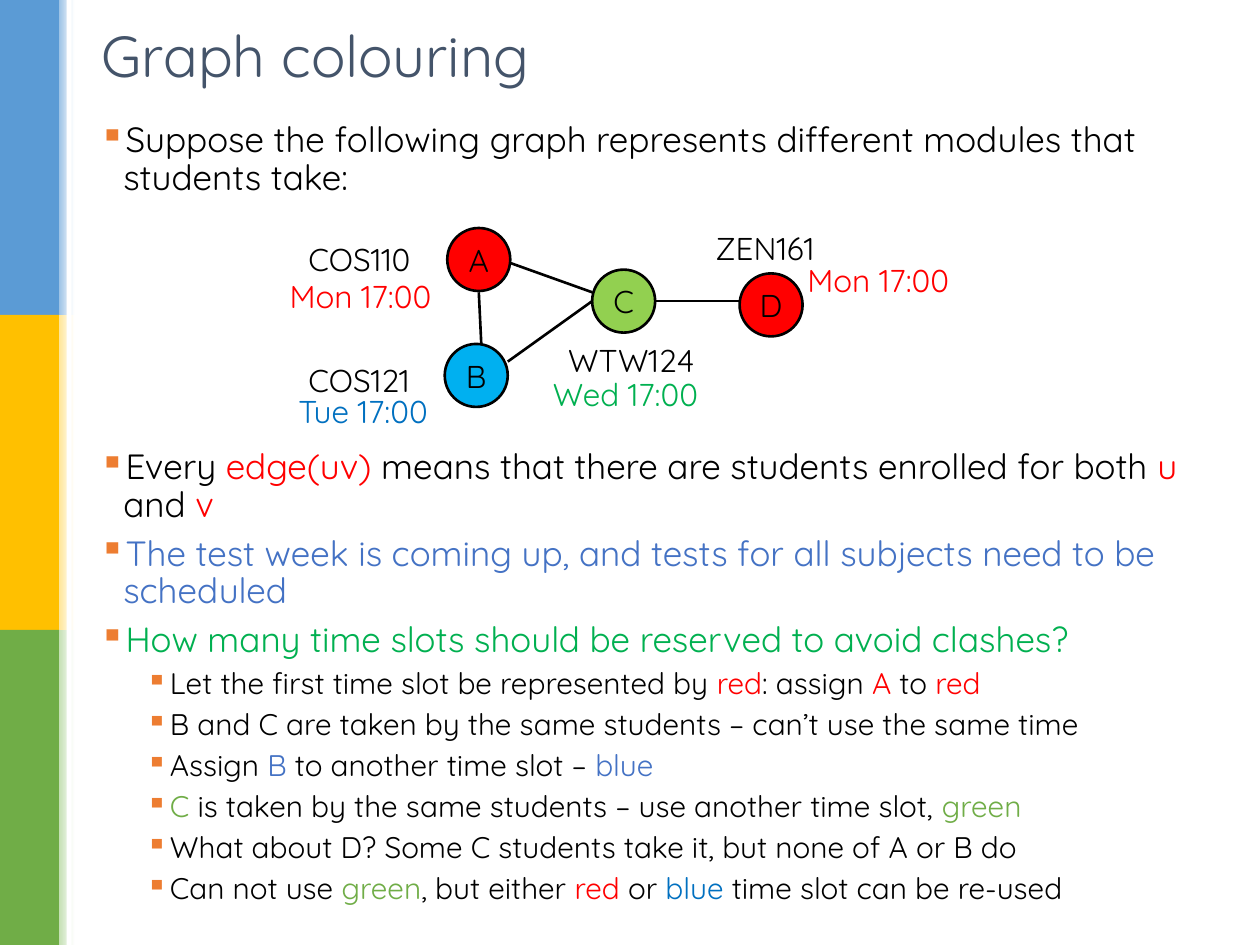
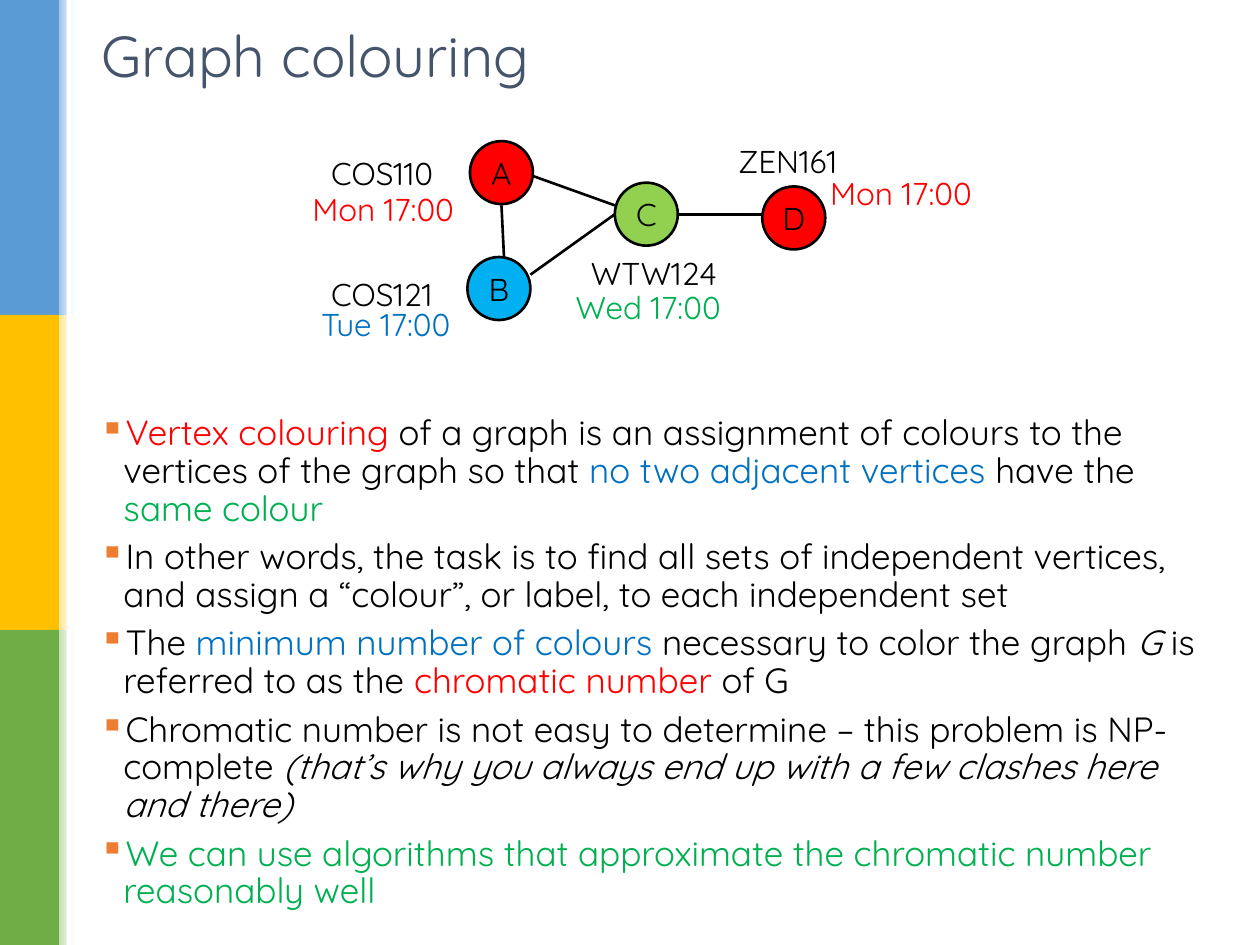
import dataclasses

import lxml.etree
import pptx
import pptx.dml.color
import pptx.enum.shapes
import pptx.enum.text
import pptx.oxml.ns
import pptx.util

Inches = pptx.util.Inches
Pt = pptx.util.Pt
Shape = pptx.enum.shapes.MSO_SHAPE
Anchor = pptx.enum.text.MSO_ANCHOR
Align = pptx.enum.text.PP_ALIGN
qn = pptx.oxml.ns.qn


@dataclasses.dataclass(frozen=True)
class Theme:
    font: str = "Quicksand"
    title_size: int = 33
    label_size: int = 18
    body_sizes: tuple = (20, 17)
    indents: tuple = (0.19, 0.56)
    hanging: float = 0.19
    line_spacing: float = 0.9
    space_before: float = 0.3
    outline: float = 1.5
    heading: str = "44546A"
    bullet: str = "ED7D31"
    black: str = "000000"
    white: str = "FFFFFF"
    red: str = "FF0000"
    blue: str = "0070C0"
    soft_blue: str = "4472C4"
    sky: str = "00B0F0"
    green: str = "00B050"
    leaf: str = "70AD47"
    lime: str = "92D050"
    bands: tuple = (("5B9BD5", "9DC3E6"), ("FFC000", "FFE699"), ("70AD47", "C5E0B4"))


THEME = Theme()


def rgb(colour):
    return pptx.dml.color.RGBColor.from_string(colour)


class Deck:
    def __init__(self, theme):
        self.theme = theme
        self.presentation = pptx.Presentation()
        self.presentation.slide_width = Inches(10)
        self.presentation.slide_height = Inches(7.5)
        self.slide = None

    def new_slide(self, title):
        self.slide = self.presentation.slides.add_slide(self.presentation.slide_layouts[6])
        self.side_bands()
        self.title(title)

    def side_bands(self):
        height = 7.5 / len(self.theme.bands)
        for row, (strong, pale) in enumerate(self.theme.bands):
            self.shape(Shape.RECTANGLE, 0, row * height, 0.47, height, strong)
            fade = self.shape(Shape.RECTANGLE, 0.47, row * height, 0.12, height, pale)
            fade.fill.gradient()
            fade.fill.gradient_angle = 0
            for stop, colour in zip(fade.fill.gradient_stops, (pale, self.theme.white)):
                stop.color.rgb = rgb(colour)
        self.shape(Shape.RECTANGLE, 0.53, 0, 0.04, 7.5, self.theme.white)

    def shape(self, kind, left, top, width, height, fill):
        shape = self.slide.shapes.add_shape(
            kind, Inches(left), Inches(top), Inches(width), Inches(height))
        shape.shadow.inherit = False
        shape.fill.solid()
        shape.fill.fore_color.rgb = rgb(fill)
        shape.line.fill.background()
        return shape

    def run(self, paragraph, text, size, colour, italic=False):
        run = paragraph.add_run()
        run.text = text
        run.font.name = self.theme.font
        run.font.size = Pt(size)
        run.font.color.rgb = rgb(colour)
        if italic:
            run.font.italic = True

    def text_frame(self, left, top, width, height, wrap=True):
        box = self.slide.shapes.add_textbox(
            Inches(left), Inches(top), Inches(width), Inches(height))
        box.text_frame.word_wrap = wrap
        return box.text_frame

    def title(self, text):
        frame = self.text_frame(0.71, 0.09, 8.62, 0.68)
        frame.vertical_anchor = Anchor.MIDDLE
        self.run(frame.paragraphs[0], text, self.theme.title_size, self.theme.heading)

    def label(self, text, left, top, width, colour):
        frame = self.text_frame(left, top, width, 0.4, wrap=False)
        frame.auto_size = pptx.enum.text.MSO_AUTO_SIZE.SHAPE_TO_FIT_TEXT
        self.run(frame.paragraphs[0], text, self.theme.label_size, colour)

    def vertex(self, name, left, top, fill):
        circle = self.shape(Shape.OVAL, left, top, 0.5, 0.5, fill)
        circle.line.color.rgb = rgb(self.theme.black)
        circle.line.width = Pt(self.theme.outline)
        frame = circle.text_frame
        frame.word_wrap = False
        frame.vertical_anchor = Anchor.MIDDLE
        frame.paragraphs[0].alignment = Align.CENTER
        self.run(frame.paragraphs[0], name, self.theme.label_size, self.theme.black)

    def edge(self, x1, y1, x2, y2):
        line = self.slide.shapes.add_connector(
            pptx.enum.shapes.MSO_CONNECTOR.STRAIGHT,
            Inches(x1), Inches(y1), Inches(x2), Inches(y2))
        line.line.color.rgb = rgb(self.theme.black)
        line.line.width = Pt(self.theme.outline)
        lxml.etree.SubElement(line._element.spPr, qn("a:effectLst"))

    def bullets(self, top, height, items):
        frame = self.text_frame(0.69, top, 8.95, height)
        for index, (level, pieces) in enumerate(items):
            paragraph = frame.add_paragraph() if index else frame.paragraphs[0]
            size = self.theme.body_sizes[level]
            paragraph.level = level
            paragraph.line_spacing = self.theme.line_spacing
            paragraph.space_before = Pt(size * self.theme.space_before if index else 0)
            properties = paragraph._p.get_or_add_pPr()
            properties.set("marL", str(Inches(self.theme.indents[level])))
            properties.set("indent", str(-Inches(self.theme.hanging)))
            marker_colour = lxml.etree.SubElement(properties, qn("a:buClr"))
            lxml.etree.SubElement(marker_colour, qn("a:srgbClr"), val=self.theme.bullet)
            lxml.etree.SubElement(properties, qn("a:buChar"), char="▪")
            for text, colour, *italic in pieces:
                self.run(paragraph, text, size, colour, *italic)

    def module_graph(self, dx=0, dy=0):
        t = self.theme
        edges = (
            (4.03, 2.08, 4.7, 2.32),
            (5.2, 2.39, 5.87, 2.39),
            (3.8, 2.32, 3.82, 2.73),
            (4.7, 2.39, 4.03, 2.87),
        )
        vertices = (
            ("A", 3.55, 1.81, t.red),
            ("B", 3.53, 2.73, t.sky),
            ("C", 4.7, 2.14, t.lime),
            ("D", 5.87, 2.17, t.red),
        )
        labels = (
            ("COS110", 2.35, 1.86, 1.17, t.black),
            ("COS121", 2.35, 2.82, 1.17, t.black),
            ("WTW124", 4.41, 2.66, 1.21, t.black),
            ("ZEN161", 5.58, 1.77, 1.07, t.black),
            ("Mon 17:00", 2.2, 2.15, 1.45, t.red),
            ("Mon 17:00", 6.31, 2.02, 1.45, t.red),
            ("Tue 17:00", 2.27, 3.06, 1.33, t.blue),
            ("Wed 17:00", 4.29, 2.93, 1.48, t.green),
        )
        for x1, y1, x2, y2 in edges:
            self.edge(x1 + dx, y1 + dy, x2 + dx, y2 + dy)
        for name, left, top, fill in vertices:
            self.vertex(name, left + dx, top + dy, fill)
        for text, left, top, width, colour in labels:
            self.label(text, left + dx, top + dy, width, colour)


BLACK, RED, BLUE, GREEN = THEME.black, THEME.red, THEME.blue, THEME.green
SOFT_BLUE, LEAF = THEME.soft_blue, THEME.leaf
TITLE = "Graph colouring"

INTRO = [
    (0, [("Suppose the following graph represents different modules that students take:", BLACK)]),
]
SCHEDULING = [
    (0, [("Every ", BLACK), ("edge(uv)", RED),
         (" means that there are students enrolled for both ", BLACK), ("u", RED),
         (" and ", BLACK), ("v", RED)]),
    (0, [("The test week is coming up, and tests for all subjects need to be scheduled", SOFT_BLUE)]),
    (0, [("How many time slots should be reserved to avoid clashes?", GREEN)]),
    (1, [("Let the first time slot be represented by ", BLACK), ("red", RED),
         (": assign ", BLACK), ("A", RED), (" to ", BLACK), ("red", RED)]),
    (1, [("B and C are taken by the same students – can’t use the same time", BLACK)]),
    (1, [("Assign ", BLACK), ("B", SOFT_BLUE), (" to another time slot – ", BLACK),
         ("blue", SOFT_BLUE)]),
    (1, [("C ", LEAF), ("is taken by the same students – use another time slot, ", BLACK),
         ("green", LEAF)]),
    (1, [("What about D? Some C students take it, but none of A or B do", BLACK)]),
    (1, [("Can not use ", BLACK), ("green", LEAF), (", but either ", BLACK), ("red", RED),
         (" or ", BLACK), ("blue ", BLUE), ("time slot can be re-used", BLACK)]),
]
DEFINITIONS = [
    (0, [("Vertex colouring ", RED),
         ("of a graph is an assignment of colours to the vertices of the graph so that ", BLACK),
         ("no two adjacent vertices ", BLUE), ("have the ", BLACK), ("same colour", GREEN)]),
    (0, [("In other words, the task is to find all sets of independent vertices, "
          "and assign a “colour”, or label, to each independent set", BLACK)]),
    (0, [("The ", BLACK), ("minimum number of colours", BLUE),
         (" necessary to color the graph ", BLACK), ("G ", BLACK, True),
         ("is referred to as the ", BLACK), ("chromatic number ", RED), ("of G", BLACK)]),
    (0, [("Chromatic number is not easy to determine – this problem is NP-complete ", BLACK),
         ("(that’s why you always end up with a few clashes here and there)", BLACK, True)]),
    (0, [("We can use algorithms that approximate the chromatic number reasonably well", GREEN)]),
]

deck = Deck(THEME)

deck.new_slide(TITLE)
deck.bullets(0.92, 0.75, INTRO)
deck.module_graph()
deck.bullets(3.52, 3.98, SCHEDULING)

deck.new_slide(TITLE)
deck.module_graph(dx=0.18, dy=-0.69)
deck.bullets(3.25, 4.25, DEFINITIONS)

deck.presentation.save("out.pptx")
